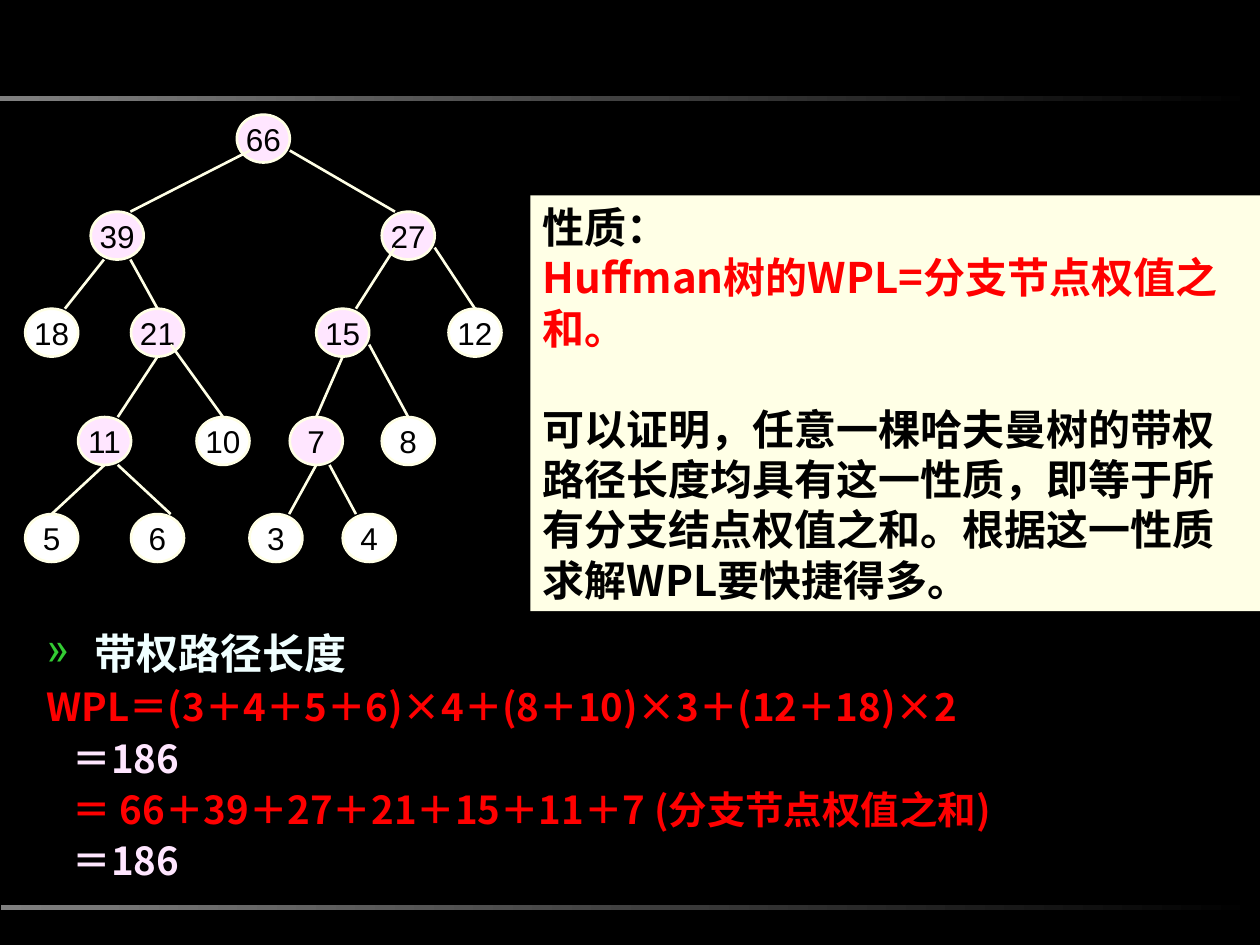
from dataclasses import dataclass
from typing import Optional

from lxml.etree import SubElement
from pptx import Presentation
from pptx.dml.color import RGBColor
from pptx.enum.shapes import MSO_CONNECTOR as CONN, MSO_SHAPE as SHAPE
from pptx.enum.text import MSO_ANCHOR as ANCHOR, PP_ALIGN as ALIGN
from pptx.oxml.ns import qn
from pptx.util import Inches, Pt

COLORS = {
    "black": "000000", "gray": "808080", "cream": "FFFFE6", "pink": "FFE6FF",
    "white": "FFFFFF", "azure": "F0FFFF", "red": "FF0000", "green": "33CC33",
}
CJK = "Noto Sans CJK SC"
NODE_W, NODE_H = 0.42, 0.38
LEVEL_TOPS = [0.91, 1.68, 2.45, 3.31, 4.08]


@dataclass
class Node:
    """Tree node; edge offsets are in quarters of the node size."""
    weight: int
    left: float
    level: int
    parent: Optional[int] = None
    start: tuple[int, int] = (0, 2)  # from the parent's centre
    end: int = 0                     # from the middle of the node's top

    @property
    def center(self) -> tuple[float, float]:
        return self.left + NODE_W / 2, LEVEL_TOPS[self.level] + NODE_H / 2


@dataclass
class Line:
    text: str
    color: str
    size: int = 24
    before: float = 0
    left: float = 0
    first: float = 0
    spacing: Optional[float] = None
    bullet: str = ""


TREE = [
    Node(66, 1.88, 0),
    Node(39, 0.72, 1, 66, (-1, 1), 1),
    Node(27, 3.03, 1, 66, (2, 1), -1),
    Node(18, 0.20, 2, 39, (-1, 2), 1),
    Node(21, 1.04, 2, 39, (1, 2)),
    Node(11, 0.62, 3, 21, (0, 2), 1),
    Node(5, 0.20, 4, 11),
    Node(6, 1.04, 4, 11, (1, 2), 1),
    Node(10, 1.56, 3, 21, (1, 1)),
    Node(15, 2.51, 2, 27, (-1, 1), 1),
    Node(12, 3.56, 2, 27, (2, 1)),
    Node(7, 2.30, 3, 15),
    Node(8, 3.03, 3, 15, (2, 1)),
    Node(3, 1.98, 4, 7, (0, 2), 1),
    Node(4, 2.72, 4, 7, (1, 2), -1),
]
FORMULA = {"size": 22, "before": 5.5, "spacing": 0.9}
STEP = {**FORMULA, "left": 0.21}
WPL_LINES = [
    Line("带权路径长度", "azure", left=0.38, first=-0.38, spacing=0.9, bullet="»"),
    Line("WPL＝(3＋4＋5＋6)×4＋(8＋10)×3＋(12＋18)×2", "red",
         left=0.38, first=-0.38, **FORMULA),
    Line("＝186", "pink", **STEP),
    Line("＝ 66＋39＋27＋21＋15＋11＋7 (分支节点权值之和)", "red", **STEP),
    Line("＝186", "pink", **STEP),
]
PROPERTY_LINES = [
    Line("性质：", "black"),
    Line("Huffman树的WPL=分支节点权值之和。", "red"),
    Line("可以证明，任意一棵哈夫曼树的带权路径长度均具有这一性质，"
         "即等于所有分支结点权值之和。根据这一性质求解WPL要快捷得多。",
         "black", before=28.8),
]


def rgb(name: str) -> RGBColor:
    return RGBColor.from_string(COLORS[name])


def add_run(p, text: str, font: str, size: int, color: str, bold: bool) -> None:
    r = p.add_run()
    r.text = text
    r.font.name, r.font.size, r.font.bold = font, Pt(size), bold
    r.font.color.rgb = rgb(color)
    SubElement(r._r.get_or_add_rPr(), qn("a:ea")).set("typeface", font)


def add_lines(tf, lines: list[Line]) -> None:
    tf.word_wrap = True
    for i, line in enumerate(lines):
        p = tf.paragraphs[0] if i == 0 else tf.add_paragraph()
        p.alignment = ALIGN.LEFT
        p.space_before = Pt(line.before)
        p.line_spacing = line.spacing
        pPr = p._p.get_or_add_pPr()
        pPr.set("marL", str(Inches(line.left)))
        pPr.set("indent", str(Inches(line.first)))
        if line.bullet:
            clr = SubElement(pPr, qn("a:buClr"))
            SubElement(clr, qn("a:srgbClr")).set("val", COLORS["green"])
            SubElement(pPr, qn("a:buChar")).set("char", line.bullet)
        add_run(p, line.text, CJK, line.size, line.color, True)


def add_box(shapes, kind, left: float, top: float, width: float, height: float):
    sp = shapes.add_shape(kind, Inches(left), Inches(top), Inches(width), Inches(height))
    sp.shadow.inherit = False
    sp.line.fill.background()
    return sp


def add_rule(shapes, left: float, top: float) -> None:
    sp = add_box(shapes, SHAPE.RECTANGLE, left, top, 10 - left, 0.04)
    sp.fill.gradient()
    sp.fill.gradient_angle = 0
    for stop, color in zip(sp.fill.gradient_stops, ("gray", "black")):
        stop.color.rgb = rgb(color)


def add_node(shapes, node: Node, is_branch: bool) -> None:
    sp = add_box(shapes, SHAPE.OVAL, node.left, LEVEL_TOPS[node.level], NODE_W, NODE_H)
    sp.fill.solid()
    sp.fill.fore_color.rgb = rgb("pink" if is_branch else "white")
    sp.line.color.rgb, sp.line.width = rgb("cream"), Pt(1.5)
    tf = sp.text_frame
    tf.word_wrap, tf.vertical_anchor = False, ANCHOR.MIDDLE
    p = tf.paragraphs[0]
    p.alignment = ALIGN.CENTER
    add_run(p, str(node.weight), "Arial", 18, "black", False)


def add_edge(shapes, parent: Node, child: Node) -> None:
    (px, py), (cx, _) = parent.center, child.center
    dx, dy = child.start
    line = shapes.add_connector(
        CONN.STRAIGHT,
        Inches(px + dx * NODE_W / 4), Inches(py + dy * NODE_H / 4),
        Inches(cx + child.end * NODE_W / 4), Inches(LEVEL_TOPS[child.level]))
    line.line.color.rgb, line.line.width = rgb("cream"), Pt(1.5)
    SubElement(line._element.spPr, qn("a:effectLst"))


def main() -> None:
    prs = Presentation()
    prs.slide_width, prs.slide_height = Inches(10), Inches(7.5)
    s = prs.slides.add_slide(prs.slide_layouts[6])
    s.background.fill.solid()
    s.background.fill.fore_color.rgb = rgb("black")

    # Fading rules at top and bottom
    add_rule(s.shapes, 0, 0.76)
    add_rule(s.shapes, 0.01, 7.18)

    # Path length calculation
    sp = s.shapes.add_textbox(Inches(0.27), Inches(4.98), Inches(9.53), Inches(2.08))
    add_lines(sp.text_frame, WPL_LINES)

    # Huffman tree
    tree = s.shapes.add_group_shape().shapes
    by_weight = {node.weight: node for node in TREE}
    branches = {node.parent for node in TREE}
    for node in TREE:
        add_node(tree, node, node.weight in branches)
    for node in TREE:
        if node.parent:
            add_edge(tree, by_weight[node.parent], node)

    # Property panel
    sp = add_box(s.shapes, SHAPE.RECTANGLE, 4.21, 1.55, 5.79, 3.3)
    sp.fill.solid()
    sp.fill.fore_color.rgb = rgb("cream")
    sp.text_frame.vertical_anchor = ANCHOR.TOP
    add_lines(sp.text_frame, PROPERTY_LINES)

    prs.save("out.pptx")


if __name__ == "__main__":
    main()
